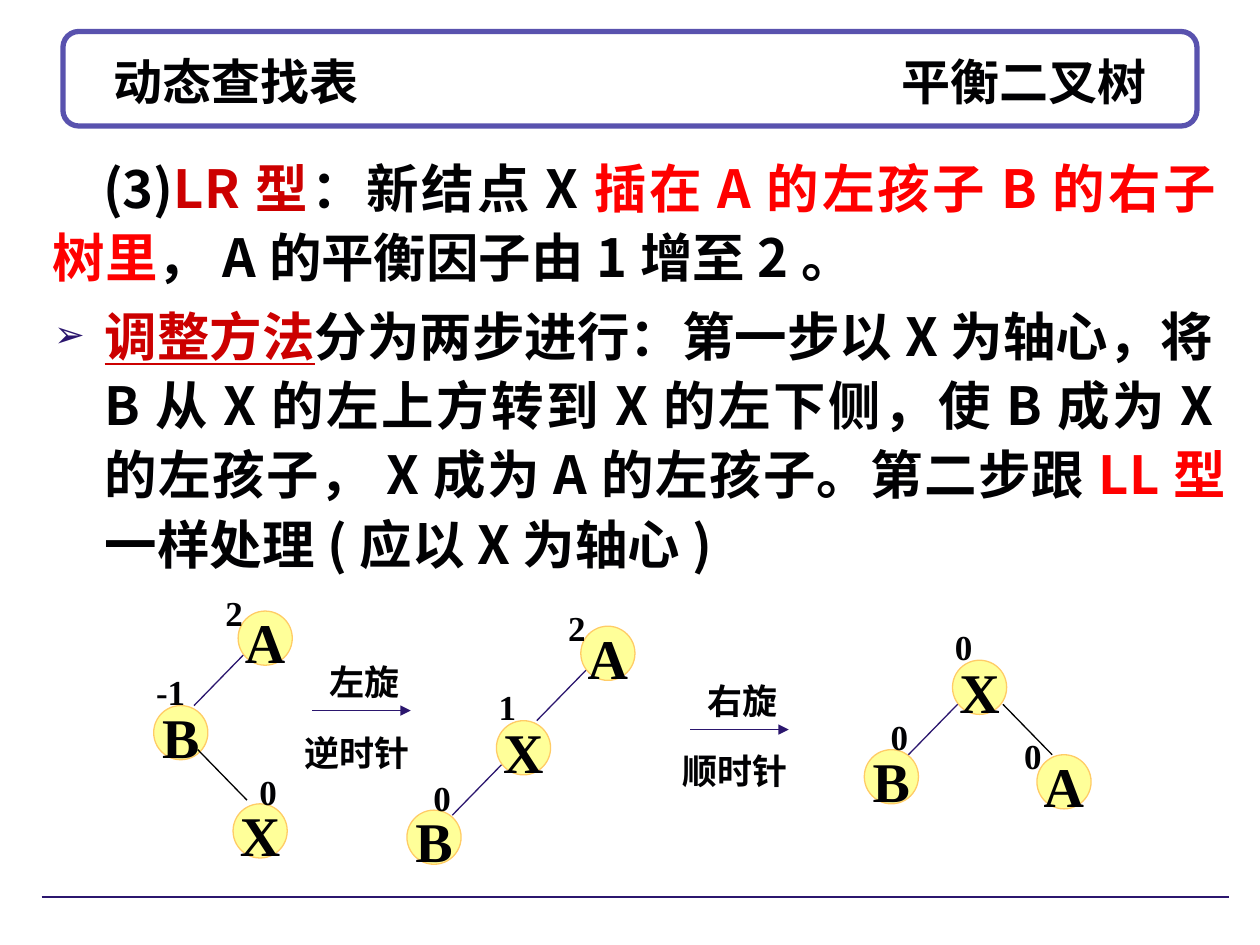
from lxml import etree
from pptx import Presentation
from pptx.dml.color import RGBColor
from pptx.enum.shapes import MSO_CONNECTOR, MSO_SHAPE
from pptx.enum.text import MSO_ANCHOR, MSO_AUTO_SIZE, PP_ALIGN
from pptx.oxml.ns import qn
from pptx.util import Inches, Pt

ROUNDED, OVAL = MSO_SHAPE.ROUNDED_RECTANGLE, MSO_SHAPE.OVAL
STRAIGHT = MSO_CONNECTOR.STRAIGHT
LEFT, CENTER, JUSTIFY = PP_ALIGN.LEFT, PP_ALIGN.CENTER, PP_ALIGN.JUSTIFY
TOP, MIDDLE = MSO_ANCHOR.TOP, MSO_ANCHOR.MIDDLE
NO_AUTOFIT = MSO_AUTO_SIZE.NONE

INK, NAVY, BLACK = "010103", "2B166E", "000000"
RED, DARK_RED = "FF0000", "CC0000"
SERIF, SANS, HAN = "Times New Roman", "Lato", "Noto Sans CJK SC"

NODE_SIZE = 0.43
FACTOR_OFFSETS = {"corner": (-0.2, -0.24), "left": (-0.08, -0.36), "right": (0.11, -0.35)}
TREES = [
    ([("A", 1.89, 4.85, "2", "corner"),
      ("B", 1.22, 5.6, "-1", "left"),
      ("X", 1.85, 6.38, "0", "right")],
     [("A", 0.04, -1), ("B", 0.35, 1)]),
    ([("A", 4.61, 4.97, "2", "corner"),
      ("X", 3.94, 5.72, "1", "left"),
      ("B", 3.23, 6.43, "0", "right")],
     [("A", 0.04, -1), ("X", 0.04, -1)]),
    ([("X", 7.56, 5.24, "0", "left"),
      ("B", 6.86, 5.95, "0", "right"),
      ("A", 8.23, 5.99, "0", "corner")],
     [("X", 0.04, -1), ("X", 0.4, 1)]),
]
ROTATIONS = [(2.48, 5.64, "左旋", "逆时针"), (5.48, 5.79, "右旋", "顺时针")]


def color(value):
    return RGBColor.from_string(value)


def add_span(para, text, size=20, font=SERIF, ink=INK, underline=False):
    span = para.add_run()
    span.text = text
    span.font.size = Pt(size)
    span.font.name = font
    span.font.bold = True
    span.font.underline = underline
    span.font.color.rgb = color(ink)
    etree.SubElement(span.font._element, qn("a:ea"), typeface=HAN)
    return span


def format_frame(frame, anchor=TOP, wrap=True):
    frame.auto_size = NO_AUTOFIT
    frame.vertical_anchor = anchor
    frame.word_wrap = wrap


def format_paragraph(para, align=LEFT, spacing=1.1):
    para.alignment = align
    para.line_spacing = spacing
    para.space_before = Pt(0)


def place(shape, left, top, width, height):
    shape.left, shape.top = Inches(left), Inches(top)
    shape.width, shape.height = Inches(width), Inches(height)


def add_text(shapes, text, left, top, width, height, font=SERIF):
    box = shapes.add_textbox(Inches(left), Inches(top), Inches(width), Inches(height))
    format_frame(box.text_frame)
    para = box.text_frame.paragraphs[0]
    format_paragraph(para)
    add_span(para, text, font=font)


def add_line(shapes, start, end, ink=NAVY, arrow=False):
    line = shapes.add_connector(STRAIGHT, *(Inches(value) for value in (*start, *end)))
    line.line.color.rgb = color(ink)
    line.line.width = Pt(0.75)
    if arrow:
        etree.SubElement(line.line._get_or_add_ln(), qn("a:tailEnd"), type="triangle")
    etree.SubElement(line._element.spPr, qn("a:effectLst"))


def add_outlined(shapes, kind, left, top, width, height, fill, outline, weight):
    shape = shapes.add_shape(kind, Inches(left), Inches(top), Inches(width), Inches(height))
    shape.shadow.inherit = False
    shape.fill.solid()
    shape.fill.fore_color.rgb = color(fill)
    shape.line.color.rgb = color(outline)
    shape.line.width = Pt(weight)
    return shape


def add_node(shapes, label, left, top):
    node = add_outlined(shapes, OVAL, left, top, NODE_SIZE, NODE_SIZE, "FFFF99", "FFCC66", 0.75)
    format_frame(node.text_frame, anchor=MIDDLE, wrap=False)
    para = node.text_frame.paragraphs[0]
    format_paragraph(para, align=CENTER)
    add_span(para, label, size=32)


def add_tree(page, nodes, edges):
    shapes = page.shapes.add_group_shape().shapes
    corners = {}
    for label, left, top, factor, side in nodes:
        corners[label] = left, top
        add_node(shapes, label, left, top)
    for parent, offset, direction in edges:
        left, top = corners[parent]
        start = left + offset, top + 0.35
        end = start[0] + 0.39 * direction, start[1] + 0.4
        add_line(shapes, start, end, ink=NAVY if direction < 0 else BLACK)
    for label, left, top, factor, side in nodes:
        shift, rise = FACTOR_OFFSETS[side]
        width = 0.35 if len(factor) == 1 else 0.55
        add_text(shapes, factor, left + shift, top + rise, width, 0.47)


def add_rotation(page, left, middle, rotation, direction):
    shapes = page.shapes.add_group_shape().shapes
    add_line(shapes, (left, middle), (left + 0.78, middle), arrow=True)
    add_text(shapes, rotation, left + 0.04, middle - 0.48, 0.79, 0.43, font=SANS)
    add_text(shapes, direction, left - 0.16, middle + 0.08, 1.18, 0.43, font=SANS)


def add_heading(page):
    banner = add_outlined(page.shapes, ROUNDED, 0.5, 0.25, 9, 0.75, "FFFFFF", "5952AE", 3)
    page.shapes._spTree.insert(2, banner._element)
    title = page.shapes.title
    place(title, 0.5, 0.33, 9, 0.62)
    format_frame(title.text_frame, anchor=MIDDLE)
    title.text_frame.margin_left = Inches(0.4)
    para = title.text_frame.paragraphs[0]
    tabs = etree.SubElement(para._p.get_or_add_pPr(), qn("a:tabLst"))
    etree.SubElement(tabs, qn("a:tab"), pos=str(Inches(8.2)), algn="r")
    format_paragraph(para, spacing=1.0)
    add_span(para, "动态查找表\t平衡二叉树", size=28)


def write_statement(para, spans):
    format_paragraph(para, align=JUSTIFY)
    for text, ink, underline in spans:
        add_span(para, text, size=30, font=HAN, ink=ink, underline=underline)


def add_case(page):
    box = page.shapes.add_textbox(Inches(0.32), Inches(1.14), Inches(9.43), Inches(1.21))
    format_frame(box.text_frame)
    para = box.text_frame.paragraphs[0]
    para._p.get_or_add_pPr().set("indent", str(Inches(0.4)))
    write_statement(para, [
        ("(3)", INK, False),
        ("LR型", DARK_RED, False),
        ("：新结点X", INK, False),
        ("插在A的左孩子B的右子树里", RED, False),
        ("，A的平衡因子由1增至2。", INK, False),
    ])


def add_method(page):
    body = page.placeholders[1]
    place(body, 0.33, 2.31, 9.5, 2.28)
    format_frame(body.text_frame)
    para = body.text_frame.paragraphs[0]
    properties = para._p.get_or_add_pPr()
    properties.set("marL", str(Inches(0.4)))
    properties.set("indent", str(Inches(-0.4)))
    bullet_color = etree.SubElement(properties, qn("a:buClr"))
    etree.SubElement(bullet_color, qn("a:srgbClr"), val=NAVY)
    etree.SubElement(properties, qn("a:buSzPct"), val="70000")
    etree.SubElement(properties, qn("a:buChar"), char="➢")
    write_statement(para, [
        ("调整方法", DARK_RED, True),
        ("分为两步进行：第一步以X为轴心，将B从X的左上方转到X的左下侧，"
         "使B成为X的左孩子，X成为A的左孩子。第二步跟", INK, False),
        ("LL型", RED, False),
        ("一样处理(应以X为轴心)", INK, False),
    ])


def main():
    deck = Presentation()
    deck.slide_width, deck.slide_height = Inches(10), Inches(7.5)
    page = deck.slides.add_slide(deck.slide_layouts[1])
    add_heading(page)
    add_line(page.shapes, (0.33, 7.12), (9.75, 7.12))
    add_case(page)
    add_method(page)
    for nodes, edges in TREES:
        add_tree(page, nodes, edges)
    for rotation in ROTATIONS:
        add_rotation(page, *rotation)
    deck.save("out.pptx")


if __name__ == "__main__":
    main()
